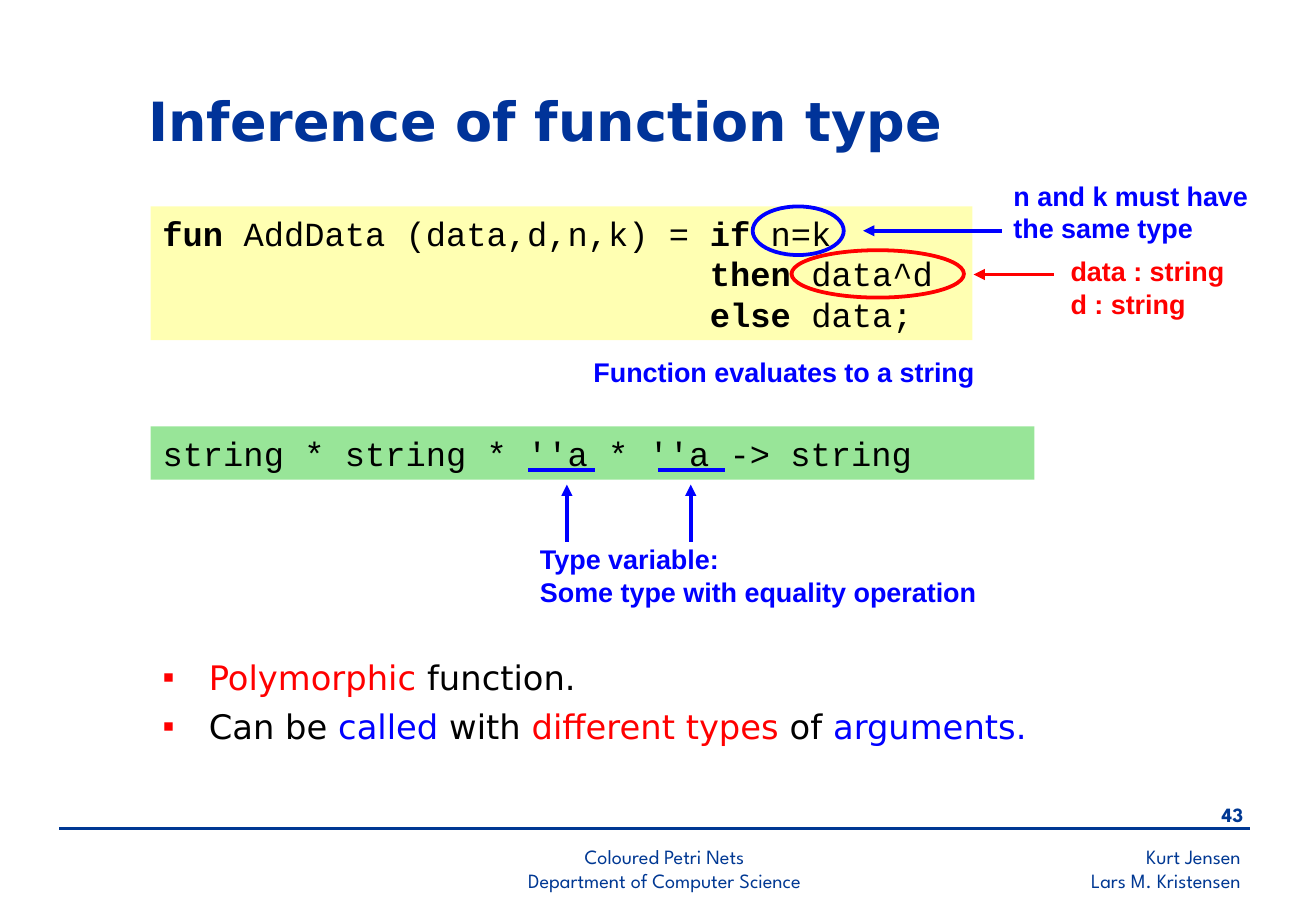
from pptx import Presentation
from pptx.dml.color import RGBColor
from pptx.enum.shapes import MSO_CONNECTOR, MSO_SHAPE
from pptx.enum.text import MSO_ANCHOR, MSO_AUTO_SIZE, PP_ALIGN
from pptx.oxml.ns import qn
from pptx.util import Inches, Pt
from lxml.etree import SubElement

COLORS = {
    "navy": "003399", "footer": "003893", "blue": "0000FF", "red": "FF0000",
    "black": "000000", "yellow": "FFFF66", "green": "33CC33",
}
CELL = 0.1  # inches per grid column and row
COLUMNS, ROWS = 108.4, 75
HEADING, CODE, NOTE, FOOTER = "DejaVu Sans", "Courier New", "Arial", "League Spartan"


def grid(*cells):
    return [Inches(cell * CELL) for cell in cells]


def rgb(color):
    return RGBColor.from_string(COLORS[color])


class SlideBuilder:
    def __init__(self, presentation):
        self.slide = presentation.slides.add_slide(presentation.slide_layouts[1])
        self.shapes = self.slide.shapes

    def set_text(self, frame, paragraphs, font, size, align=PP_ALIGN.LEFT, gap=0):
        """Fill a frame with paragraphs, each a list of (text, color, bold) runs."""
        frame.word_wrap = True
        frame.auto_size = MSO_AUTO_SIZE.NONE
        for index, runs in enumerate(paragraphs):
            paragraph = frame.add_paragraph() if index else frame.paragraphs[0]
            paragraph.alignment = align
            paragraph.space_before = Pt(gap if index else 0)
            for text, color, bold in runs:
                run = paragraph.add_run()
                run.text = text
                run.font.name, run.font.size, run.font.bold = font, Pt(size), bold
                run.font.color.rgb = rgb(color)

    def place(self, placeholder, at):
        (placeholder.left, placeholder.top,
         placeholder.width, placeholder.height) = grid(*at)
        return placeholder.text_frame

    def title(self, at, text):
        frame = self.place(self.shapes.title, at)
        frame.vertical_anchor = MSO_ANCHOR.MIDDLE
        self.set_text(frame, [[(text, "navy", True)]], HEADING, 32)

    def bullets(self, at, paragraphs):
        frame = self.place(self.slide.placeholders[1], at)
        frame.vertical_anchor = MSO_ANCHOR.TOP
        self.set_text(frame, paragraphs, HEADING, 20, gap=5)
        for paragraph in frame.paragraphs:
            properties = paragraph._p.get_or_add_pPr()
            indent = grid(3.8)[0]
            properties.set("marL", str(indent))
            properties.set("indent", str(-indent))
            bullet_color = SubElement(properties, qn("a:buClr"))
            SubElement(bullet_color, qn("a:srgbClr"), val=COLORS["red"])
            SubElement(properties, qn("a:buChar"), char="▪")

    def text(self, at, paragraphs, font, size, align=PP_ALIGN.LEFT):
        box = self.shapes.add_textbox(*grid(*at))
        self.set_text(box.text_frame, paragraphs, font, size, align)

    def note(self, at, lines, color):
        self.text(at, [[(line, color, True)] for line in lines], NOTE, 16)

    def footer(self, at, lines, align, bold=False):
        self.text(at, [[(line, "footer", bold)] for line in lines], FOOTER, 12, align)

    def code(self, at, lines, color):
        """Place code on a half-transparent panel."""
        panel = self.shapes.add_shape(MSO_SHAPE.RECTANGLE, *grid(*at))
        panel.shadow.inherit = False
        panel.fill.solid()
        panel.fill.fore_color.rgb = rgb(color)
        fill_color = panel._element.spPr.find(qn("a:solidFill"))[0]
        SubElement(fill_color, qn("a:alpha"), val="50000")
        panel.line.fill.background()
        panel.text_frame.vertical_anchor = MSO_ANCHOR.TOP
        self.set_text(panel.text_frame, lines, CODE, 20)

    def ring(self, at, color):
        ellipse = self.shapes.add_shape(MSO_SHAPE.OVAL, *grid(*at))
        ellipse.shadow.inherit = False
        ellipse.fill.background()
        ellipse.line.color.rgb = rgb(color)
        ellipse.line.width = Pt(2.25)

    def line(self, start, end, color, width=2.25, arrow=False):
        connector = self.shapes.add_connector(
            MSO_CONNECTOR.STRAIGHT, *grid(*start, *end))
        connector.line.color.rgb = rgb(color)
        connector.line.width = Pt(width)
        if arrow:
            outline = connector._element.spPr.find(qn("a:ln"))
            SubElement(outline, qn("a:tailEnd"), type="triangle")
        SubElement(connector._element.spPr, qn("a:effectLst"))


def main():
    presentation = Presentation()
    presentation.slide_width, presentation.slide_height = grid(COLUMNS, ROWS)
    slide = SlideBuilder(presentation)

    slide.footer((69.5, 69, 33.7, 5), ["Kurt Jensen", "Lars M. Kristensen"], PP_ALIGN.RIGHT)
    slide.footer((96.3, 65.6, 7.1, 3.3), ["43"], PP_ALIGN.RIGHT, bold=True)
    slide.line((4.9, 68.2), (103, 68.2), "footer", 1.5)
    slide.footer((34.1, 69, 41.3, 4.7),
                 ["Coloured Petri Nets", "Department of Computer Science"], PP_ALIGN.CENTER)

    slide.title((11.2, 6.4, 71.3, 6.9), "Inference of function type")

    branch_indent = " " * 27
    slide.code((12.4, 17, 67.7, 11), [
        [("fun", "black", True), (" AddData (data,d,n,k) = ", "black", False),
         ("if", "black", True), (" n=k", "black", False)],
        [(branch_indent, "black", False), ("then", "black", True),
         (" data^d", "black", False)],
        [(branch_indent, "black", False), ("else", "black", True),
         (" data;", "black", False)],
    ], "yellow")
    slide.code((12.4, 35.1, 72.8, 4.4),
               [[("string * string * ''a * ''a -> string", "black", False)]], "green")

    slide.ring((65.2, 20.6, 14.2, 3.9), "red")
    slide.note((87.2, 20.5, 16.1, 6.4), ["data : string", "d : string"], "red")
    slide.line((86.8, 22.6), (80.2, 22.6), "red", arrow=True)

    slide.ring((62, 17, 7.5, 4), "blue")
    slide.line((82.5, 19), (71.1, 19), "blue", arrow=True)
    slide.note((82.5, 14.3, 23.6, 6.4), ["n and k must have", "the same type"], "blue")

    slide.note((47.9, 28.8, 42.9, 3.7), ["Function evaluates to a string"], "blue")
    slide.note((43.5, 44.2, 43.3, 6.4),
               ["Type variable:", "Some type with equality operation"], "blue")
    for arrow_column, underline_column in ((46.7, 43.5), (56.9, 54.2)):
        slide.line((arrow_column, 44.6), (arrow_column, 39.9), "blue", arrow=True)
        slide.line((underline_column, 38.7), (underline_column + 5.5, 38.7), "blue")

    slide.bullets((12.4, 53.6, 83.5, 9), [
        [("Polymorphic ", "red", False), ("function.", "black", False)],
        [("Can be ", "black", False), ("called", "blue", False),
         (" with ", "black", False), ("different types", "red", False),
         (" of ", "black", False), ("arguments.", "blue", False)],
    ])
    presentation.save("out.pptx")


if __name__ == "__main__":
    main()
